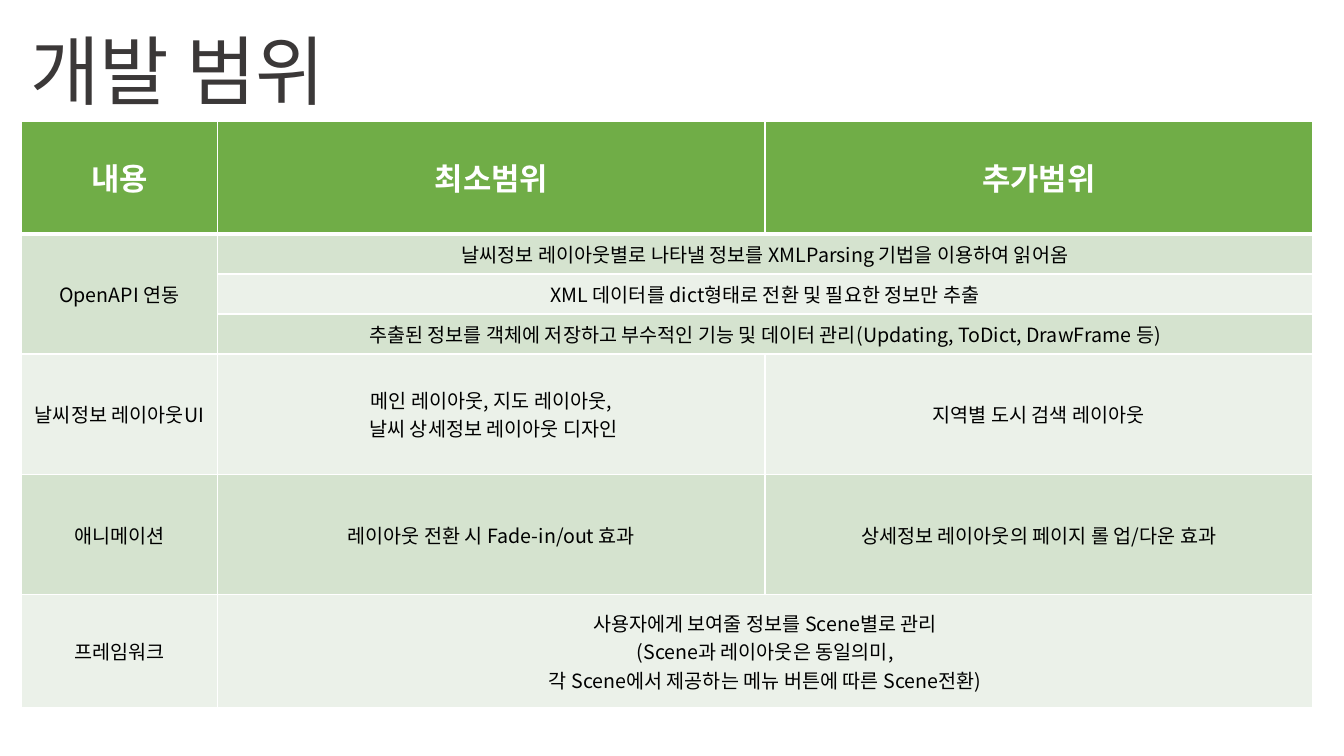
import pptx
import pptx.dml.color
import pptx.enum.text
import pptx.oxml.ns
import pptx.util
from lxml import etree

Pt = pptx.util.Pt
FONT = "Noto Sans CJK KR"
COLORS = {
    "title": "3B3838",
    "header": "70AD47",
    "band_dark": "D5E3CF",
    "band_light": "EBF1E9",
    "white": "FFFFFF",
    "black": "000000",
}
COLUMN_WIDTHS = [140.4, 391, 391]
ROW_HEIGHTS = [80.7] + [28.6] * 3 + [86] * 2 + [80.7]
ROWS = [
    ["내용", "최소범위", "추가범위"],
    ["OpenAPI 연동", "날씨정보 레이아웃별로 나타낼 정보를 XMLParsing 기법을 이용하여 읽어옴", ""],
    ["", "XML 데이터를 dict형태로 전환 및 필요한 정보만 추출", ""],
    ["", "추출된 정보를 객체에 저장하고 부수적인 기능 및 데이터 관리(Updating, ToDict, DrawFrame 등)", ""],
    ["날씨정보 레이아웃UI", "메인 레이아웃, 지도 레이아웃,\n 날씨 상세정보 레이아웃 디자인", "지역별 도시 검색 레이아웃"],
    ["애니메이션", "레이아웃 전환 시 Fade-in/out 효과", "상세정보 레이아웃의 페이지 롤 업/다운 효과"],
    ["프레임워크", "사용자에게 보여줄 정보를 Scene별로 관리\n(Scene과 레이아웃은 동일의미,\n"
     "각 Scene에서 제공하는 메뉴 버튼에 따른 Scene전환)", ""],
]
MERGES = [((1, 0), (3, 0))] + [((row, 1), (row, 2)) for row in (1, 2, 3, 6)]


class SlideBuilder:
    def __init__(self, slide, font, colors):
        self.slide = slide
        self.font = font
        self.colors = colors

    def rgb(self, color):
        return pptx.dml.color.RGBColor.from_string(self.colors[color])

    def format_text(self, tf, size, color, bold=False, align=None):
        for p in tf.paragraphs:
            p.alignment = align
            for r in p.runs:
                r.font.size = Pt(size)
                r.font.bold = bold
                r.font.name = self.font
                r.font.color.rgb = self.rgb(color)
                ea = etree.SubElement(r._r.get_or_add_rPr(), pptx.oxml.ns.qn("a:ea"))
                ea.set("typeface", self.font)

    def text(self, left, top, width, height, text, size, color):
        sp = self.slide.shapes.add_textbox(Pt(left), Pt(top), Pt(width), Pt(height))
        tf = sp.text_frame
        tf.word_wrap = False
        tf.auto_size = pptx.enum.text.MSO_AUTO_SIZE.SHAPE_TO_FIT_TEXT
        tf.text = text
        self.format_text(tf, size, color)

    def border(self, cell, side, width):
        qn = pptx.oxml.ns.qn
        ln = etree.SubElement(cell._tc.get_or_add_tcPr(), qn("a:ln" + side))
        ln.set("w", str(Pt(width)))
        fill = etree.SubElement(ln, qn("a:solidFill"))
        etree.SubElement(fill, qn("a:srgbClr")).set("val", self.colors["white"])

    def cell(self, cell, text, row):
        header = row == 0
        cell.vertical_anchor = pptx.enum.text.MSO_ANCHOR.MIDDLE
        for side in "LRTB":
            under_header = (row, side) in [(0, "B"), (1, "T")]
            self.border(cell, side, 3 if under_header else 1)
        band = "band_dark" if row % 2 else "band_light"
        cell.fill.solid()
        cell.fill.fore_color.rgb = self.rgb("header" if header else band)
        cell.text_frame.text = text
        self.format_text(cell.text_frame, 22 if header else 14,
                         "white" if header else "black", header,
                         pptx.enum.text.PP_ALIGN.CENTER)

    def table(self, left, top, widths, heights, rows, merges):
        frame = self.slide.shapes.add_table(
            len(rows), len(widths), Pt(left), Pt(top), Pt(sum(widths)), Pt(sum(heights)))
        table = frame.table
        for column, width in zip(table.columns, widths):
            column.width = Pt(width)
        for row, height in zip(table.rows, heights):
            row.height = Pt(height)
        for i, texts in enumerate(rows):
            for j, text in enumerate(texts):
                self.cell(table.cell(i, j), text, i)
        for first, last in merges:
            table.cell(*first).merge(table.cell(*last))


def main():
    prs = pptx.Presentation()
    prs.slide_width = Pt(960)
    prs.slide_height = Pt(540)
    s = SlideBuilder(prs.slides.add_slide(prs.slide_layouts[6]), FONT, COLORS)
    s.text(14.4, 13.7, 252, 72.7, "개발 범위", 54, "title")
    s.table(15.1, 86.4, COLUMN_WIDTHS, ROW_HEIGHTS, ROWS, MERGES)
    prs.save("out.pptx")


if __name__ == "__main__":
    main()
